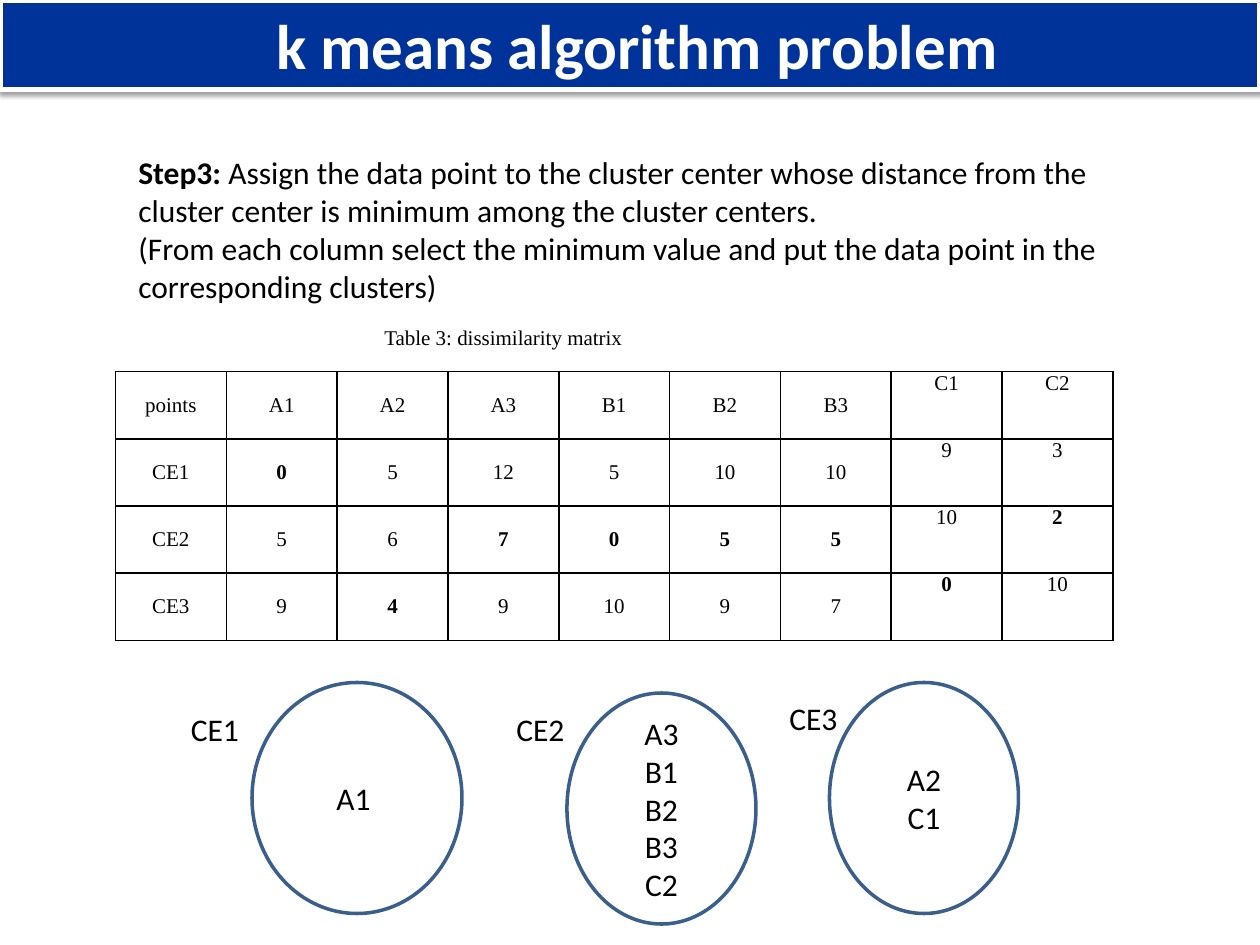
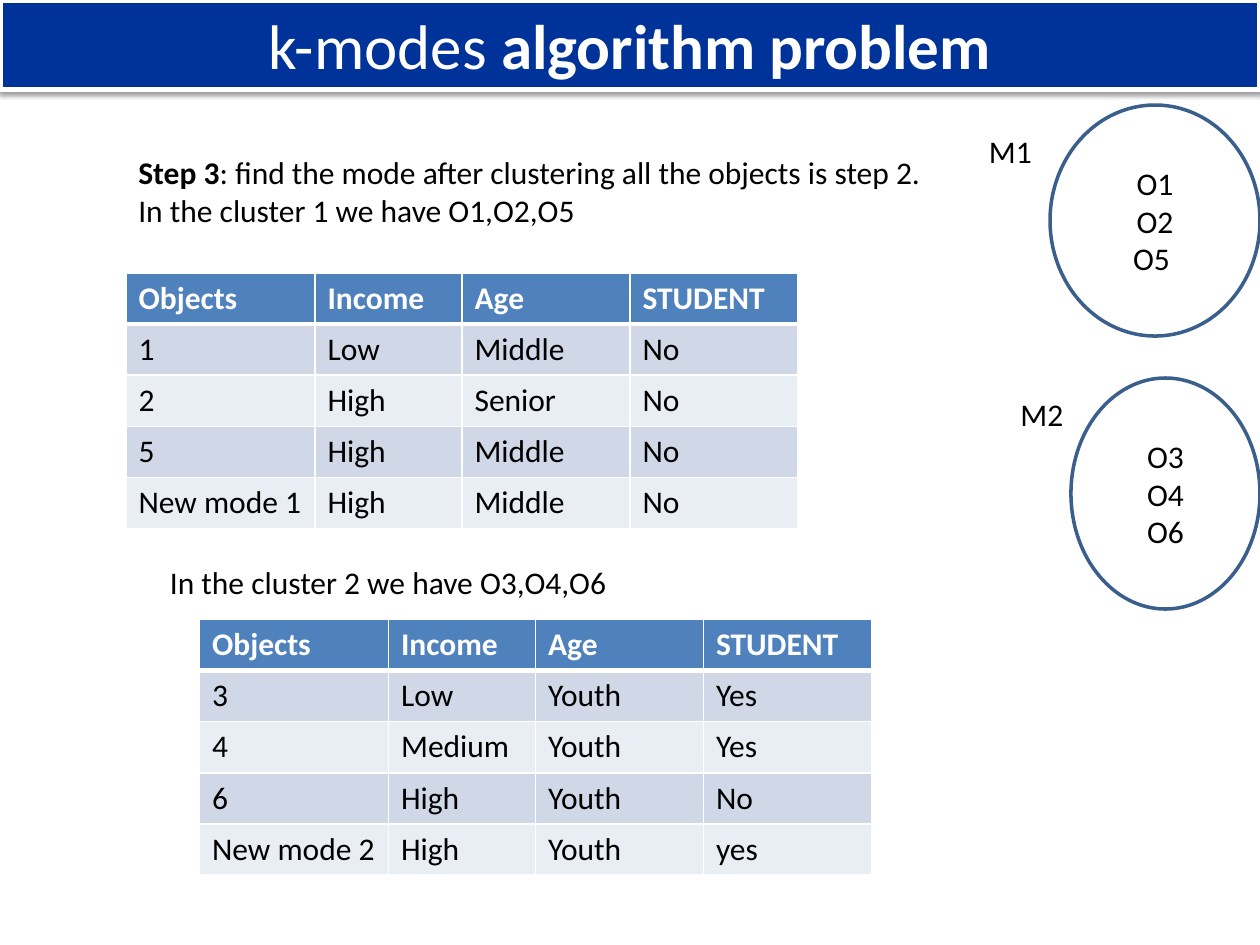
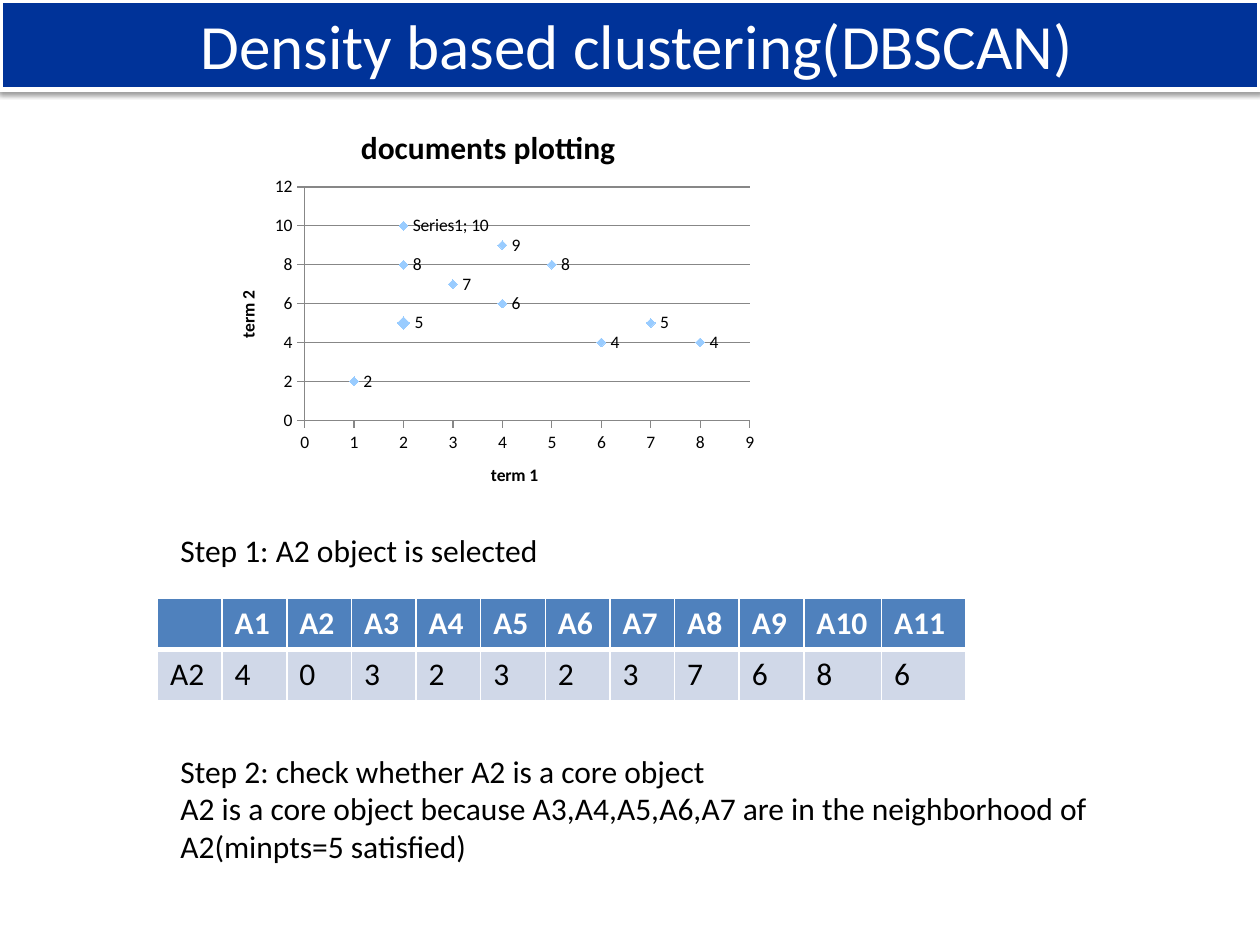
from lxml.etree import SubElement
from pptx import Presentation
from pptx.chart.data import XyChartData
from pptx.dml.color import RGBColor
from pptx.enum.chart import XL_CHART_TYPE, XL_LABEL_POSITION, XL_MARKER_STYLE
from pptx.enum.shapes import MSO_SHAPE
from pptx.enum.text import MSO_ANCHOR, PP_ALIGN
from pptx.oxml import parse_xml
from pptx.oxml.ns import nsdecls, qn
from pptx.util import Inches, Pt

COLUMNS, ROWS = 120, 90
WIDTH, HEIGHT = Inches(10), Inches(7.5)
BAND_ROWS = 8.5
TABLE_ROW = 4.87

NAVY, WHITE, BLACK = "003399", "FFFFFF", "000000"
OUTLINE, GRID, MARKER = "3A5F8C", "878787", "99CCFF"
HEADER, DARK_BAND, LIGHT_BAND = "4F81BD", "D0D8E8", "E9EDF4"


def rgb(value):
    return RGBColor.from_string(value)


def across(columns):
    return round(WIDTH * columns / COLUMNS)


def down(rows):
    return round(HEIGHT * rows / ROWS)


def place(box):
    """Turn left, top, width, height in grid cells into lengths."""
    left, top, width, height = box
    return across(left), down(top), across(width), down(height)


def write(frame, lines, size=18, color=BLACK, align=PP_ALIGN.LEFT, font="Calibri"):
    """Write one paragraph per line; text between ** marks is bold."""
    for number, line in enumerate(lines):
        paragraph = frame.add_paragraph() if number else frame.paragraphs[0]
        paragraph.alignment = align
        for index, text in enumerate(line.split("**")):
            if text:
                run = paragraph.add_run()
                run.text = text
                run.font.name = font
                run.font.size = Pt(size)
                run.font.bold = index % 2 == 1
                run.font.color.rgb = rgb(color)


def add_text(slide, box, *lines):
    frame = slide.shapes.add_textbox(*place(box)).text_frame
    frame.word_wrap = True
    write(frame, lines)
    return frame


def add_title_slide(presentation, title):
    """Add a blank slide with the title band that all slides share."""
    slide = presentation.slides.add_slide(presentation.slide_layouts[6])
    band = slide.shapes.add_shape(MSO_SHAPE.RECTANGLE, *place((0, 0, COLUMNS, BAND_ROWS)))
    band.fill.solid()
    band.fill.fore_color.rgb = rgb(NAVY)
    band.line.color.rgb = rgb(WHITE)
    band.line.width = Pt(3)
    band.shadow.inherit = False
    effects = band.element.spPr.find(qn("a:effectLst"))
    shadow = SubElement(effects, qn("a:outerShdw"), blurRad=str(Pt(3.1)),
                        dist=str(Pt(1.6)), dir="5400000", rotWithShape="0")
    tint = SubElement(shadow, qn("a:srgbClr"), val=BLACK)
    SubElement(tint, qn("a:alpha"), val="38000")
    band.text_frame.word_wrap = True
    band.text_frame.vertical_anchor = MSO_ANCHOR.TOP
    write(band.text_frame, [title], 36, WHITE, PP_ALIGN.CENTER)
    return slide


def add_cluster(slide, box, label, label_offset, members):
    """Draw an ellipse of members with its label beside it."""
    left, top = box[:2]
    ellipse = slide.shapes.add_shape(MSO_SHAPE.OVAL, *place(box))
    ellipse.shadow.inherit = False
    ellipse.fill.background()
    ellipse.line.color.rgb = rgb(OUTLINE)
    ellipse.line.width = Pt(2)
    ellipse.text_frame.vertical_anchor = MSO_ANCHOR.MIDDLE
    write(ellipse.text_frame, members, align=PP_ALIGN.CENTER)
    shift_x, shift_y = label_offset
    frame = add_text(slide, (left + shift_x, top + shift_y, 7, 5), label)
    frame.margin_right = 0


def set_borders(cell, color, **widths):
    """Give the sides L, R, T and B a width in points, or 0 for none."""
    properties = cell._tc.get_or_add_tcPr()
    for side in "LRTB":
        width = widths.get(side, 0)
        line = SubElement(properties, qn(f"a:ln{side}"), w=str(Pt(width)))
        if width:
            fill = SubElement(line, qn("a:solidFill"))
            SubElement(fill, qn("a:srgbClr"), val=color)
        else:
            SubElement(line, qn("a:noFill"))


def add_table(slide, corner, columns, row_height, row_count):
    box = (*corner, sum(columns), row_height * row_count)
    table = slide.shapes.add_table(row_count, len(columns), *place(box)).table
    table.first_row = table.horz_banding = False
    for column, width in zip(table.columns, columns):
        column.width = across(width)
    return table


def add_banded_table(slide, corner, columns, rows):
    table = add_table(slide, corner, columns, TABLE_ROW, len(rows))
    for row, texts in enumerate(rows):
        fill = (DARK_BAND if row % 2 else LIGHT_BAND) if row else HEADER
        for column, text in enumerate(texts):
            cell = table.cell(row, column)
            set_borders(cell, WHITE, L=1, R=1, T=3 if row == 1 else 1, B=1 if row else 3)
            cell.fill.solid()
            cell.fill.fore_color.rgb = rgb(fill)
            if row:
                write(cell.text_frame, [text])
            else:
                write(cell.text_frame, [f"**{text}**"], color=WHITE)


def add_matrix(slide, corner, caption, rows):
    """Draw a ruled matrix under a caption that spans all but two columns."""
    count = len(rows[0])
    table = add_table(slide, corner, [95 / count] * count, 6.4, len(rows) + 1)
    caption_row = [caption] + [""] * (count - 1)
    for row, texts in enumerate([caption_row, *rows]):
        for column, text in enumerate(texts):
            cell = table.cell(row, column)
            set_borders(cell, BLACK, B=1, **(dict(L=1, R=1, T=1) if row else {}))
            cell.fill.background()
            cell.margin_left = cell.margin_right = Inches(0.07)
            cell.margin_top = cell.margin_bottom = 0
            centred = column < count - 2
            cell.vertical_anchor = MSO_ANCHOR.MIDDLE if centred else MSO_ANCHOR.TOP
            write(cell.text_frame, [text], 12, align=PP_ALIGN.CENTER, font="Times New Roman")
    table.cell(0, 0).merge(table.cell(0, count - 3))


def style_marker(marker, size):
    marker.style = XL_MARKER_STYLE.DIAMOND
    marker.size = size
    marker.format.fill.solid()
    marker.format.fill.fore_color.rgb = rgb(MARKER)
    marker.format.line.fill.background()


def style_axis(axis, title, maximum, step):
    axis.minimum_scale, axis.maximum_scale, axis.major_unit = 0, maximum, step
    axis.format.line.color.rgb = rgb(GRID)
    write(axis.axis_title.text_frame, [f"**{title}**"], 10)


def label_points(chart, series):
    """Label each point with its value, the first one with the series name too."""
    series.points[0].data_label.position = XL_LABEL_POSITION.RIGHT
    for flag in chart.element.xpath(".//c:dLbls//c:showVal"):
        flag.set("val", "1")
    for flag in chart.element.xpath(".//c:dLbl/c:showSerName"):
        flag.set("val", "1")
    for flag in chart.element.xpath(".//c:dLbl/c:showBubbleSize"):
        flag.addnext(parse_xml(f"<c:separator {nsdecls('c')}>; </c:separator>"))


def set_plot_area(chart, **shares):
    """Fix the inner plot area as shares of the chart."""
    area = chart.element.xpath(".//c:plotArea")[0]
    for layout in area.findall(qn("c:layout")):
        area.remove(layout)
    layout = parse_xml(f"<c:layout {nsdecls('c')}/>")
    manual = SubElement(layout, qn("c:manualLayout"))
    settings = {"layoutTarget": "inner", "xMode": "edge", "yMode": "edge", **shares}
    for name, value in settings.items():
        SubElement(manual, qn(f"c:{name}"), val=str(value))
    area.insert(0, layout)


def add_scatter(slide, box, title, points, selected):
    data = XyChartData()
    documents = data.add_series("Series1")
    for x, y in points:
        documents.add_data_point(x, y)
    chart = slide.shapes.add_chart(XL_CHART_TYPE.XY_SCATTER, *place(box), data).chart
    chart.has_legend = False
    chart.font.name = "Calibri"
    chart.font.size = Pt(10)
    chart.font.color.rgb = rgb(BLACK)
    write(chart.chart_title.text_frame, [f"**{title}**"])
    style_axis(chart.category_axis, "term 1", 9, 1)
    style_axis(chart.value_axis, "term 2", 12, 2)
    chart.category_axis.has_major_gridlines = False
    chart.value_axis.major_gridlines.format.line.color.rgb = rgb(GRID)
    body = chart.element.xpath(".//c:valAx[2]/c:title//a:bodyPr")[0]
    body.set("rot", "-5400000")
    body.set("vert", "horz")
    plot = chart.plots[0]
    plot.vary_by_categories = False
    series = plot.series[0]
    series.format.line.fill.background()
    style_marker(series.marker, 5)
    style_marker(series.points[selected].marker, 7)
    label_points(chart, series)
    set_plot_area(chart, x=0.17, y=0.2, w=0.8, h=0.57)


def build_k_means(presentation):
    slide = add_title_slide(presentation, "** k means algorithm problem**")
    add_text(slide, (12, 14, 97, 15.7),
             "**Step3: **Assign the data point to the cluster center whose distance from "
             "the cluster center is minimum among the cluster centers.",
             "(From each column select the minimum value and put the data point in the "
             "corresponding clusters)")
    add_matrix(slide, (11, 29), "Table 3: dissimilarity matrix", [
        ["points", "A1", "A2", "A3", "B1", "B2", "B3", "C1", "C2"],
        ["CE1", "**0**", "5", "12", "5", "10", "10", "9", "3"],
        ["CE2", "5", "6", "**7**", "**0**", "**5**", "**5**", "10", "**2**"],
        ["CE3", "9", "**4**", "9", "10", "9", "7", "**0**", "10"],
    ])
    add_cluster(slide, (24, 65, 20, 22), "CE1", (-7, 2), ["A1 "])
    add_cluster(slide, (54, 66, 18, 22), "CE2", (-6, 1), ["A3", "B1", "B2", "B3", "C2"])
    add_cluster(slide, (79, 65, 18, 22), "CE3", (-5, 1), ["A2", "C1"])


def build_k_modes(presentation):
    slide = add_title_slide(presentation, "** **k-modes **algorithm problem **")
    add_cluster(slide, (100, 10, 20, 22), "M1", (-7, 2), ["O1", "O2", "O5 "])
    add_cluster(slide, (102, 36, 18, 22), "M2", (-6, 1), ["O3", "O4", "O6"])
    columns = [18, 14, 16, 16]
    header = ["Objects", "Income", "Age", "STUDENT"]
    add_text(slide, (12, 14, 78, 12),
             "**Step 3**: find the mode after clustering all the objects is step 2.",
             "In the cluster 1 we have O1,O2,O5")
    add_banded_table(slide, (12, 26), columns, [
        header,
        ["1", "Low", "Middle", "No"],
        ["2", "High", "Senior", "No"],
        ["5", "High", "Middle", "No"],
        ["New mode 1", "High", "Middle", "No"],
    ])
    add_text(slide, (15, 53, 62, 5), "In the cluster 2 we have O3,O4,O6")
    add_banded_table(slide, (19, 59), columns, [
        header,
        ["3", "Low", "Youth", "Yes"],
        ["4", "Medium", "Youth", "Yes"],
        ["6", "High", "Youth", "No"],
        ["New mode 2", "High", "Youth", "yes"],
    ])


def build_dbscan(presentation):
    slide = add_title_slide(presentation, "** **Density based clustering(DBSCAN)")
    distances = [4, 0, 3, 2, 3, 2, 3, 7, 6, 8, 6]
    add_banded_table(slide, (15, 57), [6.16] * 10 + [7.4, 8], [
        ["", *(f"A{number}" for number in range(1, len(distances) + 1))],
        ["A2", *map(str, distances)],
    ])
    points = [(2, 10), (3, 7), (4, 9), (2, 8), (5, 8), (4, 6),
              (2, 5), (1, 2), (6, 4), (8, 4), (7, 5)]
    add_scatter(slide, (20, 10, 53, 39), "documents plotting", points, points.index((2, 5)))
    add_text(slide, (16, 50, 83, 5), "Step 1: A2 object is selected")
    add_text(slide, (16, 71, 93, 12),
             "Step 2: check whether A2 is a core object",
             "A2 is a core object because A3,A4,A5,A6,A7 are in the neighborhood of "
             "A2(minpts=5 satisfied)")


def main():
    presentation = Presentation()
    presentation.slide_width, presentation.slide_height = WIDTH, HEIGHT
    build_k_means(presentation)
    build_k_modes(presentation)
    build_dbscan(presentation)
    presentation.save("out.pptx")


if __name__ == "__main__":
    main()
